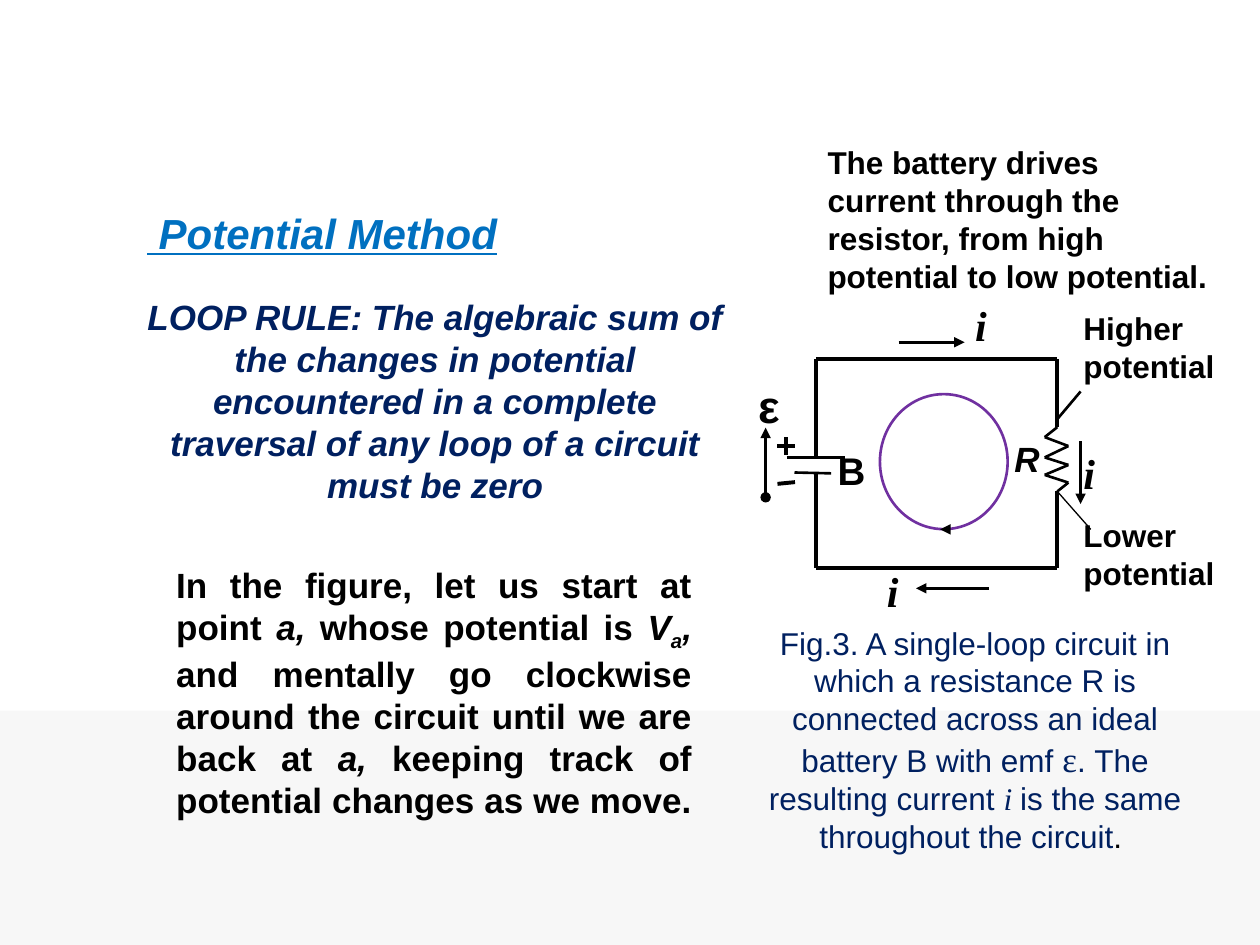
from itertools import pairwise

from lxml.etree import SubElement
from pptx import Presentation
from pptx.dml.color import RGBColor
from pptx.enum.shapes import MSO_CONNECTOR, MSO_SHAPE
from pptx.enum.text import MSO_ANCHOR, MSO_AUTO_SIZE, PP_ALIGN
from pptx.oxml.ns import qn
from pptx.util import Pt

BLACK, NAVY, BLUE, PURPLE = "000000", "002060", "0070C0", "7030A0"
SERIF = "Times New Roman"

# Circuit corners and the ends of the resistor
LEFT, RIGHT, TOP, BOTTOM = 466.5, 604.2, 205.2, 324.7
HIGH, LOW = 244.1, 280.8


def color(code):
    return RGBColor.from_string(code)


def add_panel(slide, shape_type, left, top, width, height, fill, line=None):
    panel = slide.shapes.add_shape(
        shape_type, Pt(left), Pt(top), Pt(width), Pt(height))
    panel.shadow.inherit = False
    panel.fill.solid()
    panel.fill.fore_color.rgb = color(fill)
    if line:
        panel.line.color.rgb = color(line)
        panel.line.width = Pt(1.5)
    else:
        panel.line.fill.background()


def add_line(slide, start, end, width=1.5, head=None, tail=None):
    """Draw a black line; head and tail name the ends at start and end."""
    line = slide.shapes.add_connector(
        MSO_CONNECTOR.STRAIGHT, *map(Pt, start + end))
    line.line.color.rgb = color(BLACK)
    line.line.width = Pt(width)
    properties = line.line._get_or_add_ln()
    for tag, kind in (("a:headEnd", head), ("a:tailEnd", tail)):
        if kind:
            SubElement(properties, qn(tag)).set("type", kind)
    SubElement(line._element.spPr, qn("a:effectLst"))


def add_text(slide, left, top, width, height, spans, size=18, code=BLACK,
             bold=True, align=PP_ALIGN.LEFT, anchor=MSO_ANCHOR.TOP, wrap=True):
    """Add a one-paragraph box; each span is a text and its own settings."""
    box = slide.shapes.add_textbox(Pt(left), Pt(top), Pt(width), Pt(height))
    frame = box.text_frame
    frame.word_wrap = wrap
    frame.auto_size = MSO_AUTO_SIZE.SHAPE_TO_FIT_TEXT
    frame.vertical_anchor = anchor
    para = frame.paragraphs[0]
    para.alignment = align
    for text, style in spans:
        span = para.add_run()
        span.text = text
        font = span.font
        font.name = style.get("font", "Arial")
        font.size = Pt(style.get("size", size))
        font.bold = bold
        font.italic = style.get("italic", False)
        font.underline = style.get("underline", False)
        font.color.rgb = color(style.get("code", code))
        if "baseline" in style:
            span._r.get_or_add_rPr().set("baseline", style["baseline"])


def add_explanation(slide):
    italic = {"italic": True}
    add_text(slide, 77, 115.2, 236, 36.4,
             [(" Potential Method", {"italic": True, "underline": True})],
             size=24, code=BLUE)
    add_text(slide, 93.6, 318.2, 308.9, 152.6, [
        ("In the figure, let us start at point ", {}),
        ("a, ", italic),
        ("whose potential is ", {}),
        ("V", italic),
        ("a", {"italic": True, "baseline": "-25000"}),
        (", ", italic),
        ("and mentally go clockwise around the circuit until we are back at ", {}),
        ("a, ", italic),
        ("keeping track of potential changes as we move. ", {}),
    ], size=20, align=PP_ALIGN.JUSTIFY)
    add_text(slide, 77, 164.9, 343.4, 128.2,
             [("LOOP RULE: The algebraic sum of the changes in potential "
               "encountered in a complete traversal of any loop of a circuit "
               "must be zero", italic)],
             size=20, code=NAVY, align=PP_ALIGN.CENTER, anchor=MSO_ANCHOR.MIDDLE)
    add_text(slide, 465.8, 77.8, 236.2, 94.3,
             [("The battery drives current through the resistor, from high "
               "potential to low potential.", {})], anchor=MSO_ANCHOR.MIDDLE)


def add_wires(slide):
    wires = [
        ((LEFT, BOTTOM), (RIGHT, BOTTOM)),
        ((RIGHT, TOP), (RIGHT, HIGH)),
        ((RIGHT, BOTTOM), (RIGHT, LOW)),
        ((LEFT, TOP), (RIGHT, TOP)),
        ((LEFT, 261.4), (LEFT, TOP)),
        ((LEFT, BOTTOM), (LEFT, 270)),
    ]
    for start, end in wires:
        add_line(slide, start, end, 2.25)
    add_line(slide, (LEFT, 294.5), (LEFT, 294.5), 2.25, "oval", "oval")


def add_resistor(slide):
    peaks = [249.8, 254.9, 261.4, 265.7, 271.4, 275.8]
    zigzag = [(597 if index % 2 == 0 else 610.5, y)
              for index, y in enumerate(peaks)]
    for start, end in pairwise([(RIGHT, HIGH), *zigzag, (RIGHT, LOW)]):
        add_line(slide, start, end)


def add_battery(slide):
    add_line(slide, (449.5, 261.4), (483, 261.4))
    add_line(slide, (454, 270), (475, 270.5))
    add_line(slide, (444.3, 276.5), (454.3, 275.5), 2.25)
    add_line(slide, (444.3, 254.9), (454.3, 254.9), 2.25)
    add_line(slide, (449.3, 249.9), (449.3, 260.3), 2.25)
    add_line(slide, (437.5, 284.2), (437.5, 244.4), head="oval", tail="triangle")


def add_current_arrows(slide):
    for start, end in (((513.5, 195.6), (551.2, 195.6)),
                       ((617.5, 252), (617.5, 288)),
                       ((565.2, 336.2), (523.5, 336.2))):
        add_line(slide, start, end, tail="triangle")


def add_loop(slide):
    add_panel(slide, MSO_SHAPE.OVAL, 502.8, 225.2, 73, 77.2, "FFFFFF", PURPLE)
    add_line(slide, (541.5, 302.5), (537.2, 302.5), 0.75, tail="triangle")


def add_labels(slide):
    add_line(slide, (617.5, 223.7), (RIGHT, 239.5))
    add_line(slide, (623.3, 302.5), (RIGHT, LOW), 0.75)
    for text, top, width in (("Higher potential", 172.9, 106.6),
                             ("Lower potential", 291.3, 90)):
        add_text(slide, 612, top, width, 50.9, [(text, {})],
                 anchor=MSO_ANCHOR.MIDDLE)
    for left, top in ((612, 252), (550.1, 167.6), (499.7, 319.6)):
        add_text(slide, left, top, 21.6, 36.4,
                 [("i", {"font": SERIF, "italic": True})], size=24, wrap=False)
    for text, left, top, width, height, size, italic in (
            ("R", 572.5, 246.4, 28.8, 31.5, 20, True),
            ("ε", 426.2, 212.5, 27.4, 38.9, 26, False),
            ("B", 471.6, 252, 31, 33.9, 22, False)):
        add_text(slide, left, top, width, height,
                 [(text, {"italic": italic})], size=size, wrap=False)


def add_caption(slide):
    add_text(slide, 426.2, 352.8, 262.1, 140.4, [
        ("Fig.3. A single-loop circuit in which a resistance R is connected "
         "across an ideal battery B with emf ", {}),
        ("ε", {"font": SERIF, "size": 20}),
        (". The resulting current ", {}),
        ("i ", {"font": SERIF, "italic": True}),
        ("is the same throughout the circuit", {}),
        (". ", {"code": BLACK}),
    ], code=NAVY, bold=False, align=PP_ALIGN.CENTER)


def main():
    deck = Presentation()
    deck.slide_width, deck.slide_height = Pt(720), Pt(540)
    slide = deck.slides.add_slide(deck.slide_layouts[6])
    add_panel(slide, MSO_SHAPE.RECTANGLE, 0, 406, 720, 134, "F7F7F7")
    add_explanation(slide)
    add_wires(slide)
    add_resistor(slide)
    add_battery(slide)
    add_current_arrows(slide)
    add_loop(slide)
    add_labels(slide)
    add_caption(slide)
    deck.save("out.pptx")


if __name__ == "__main__":
    main()
